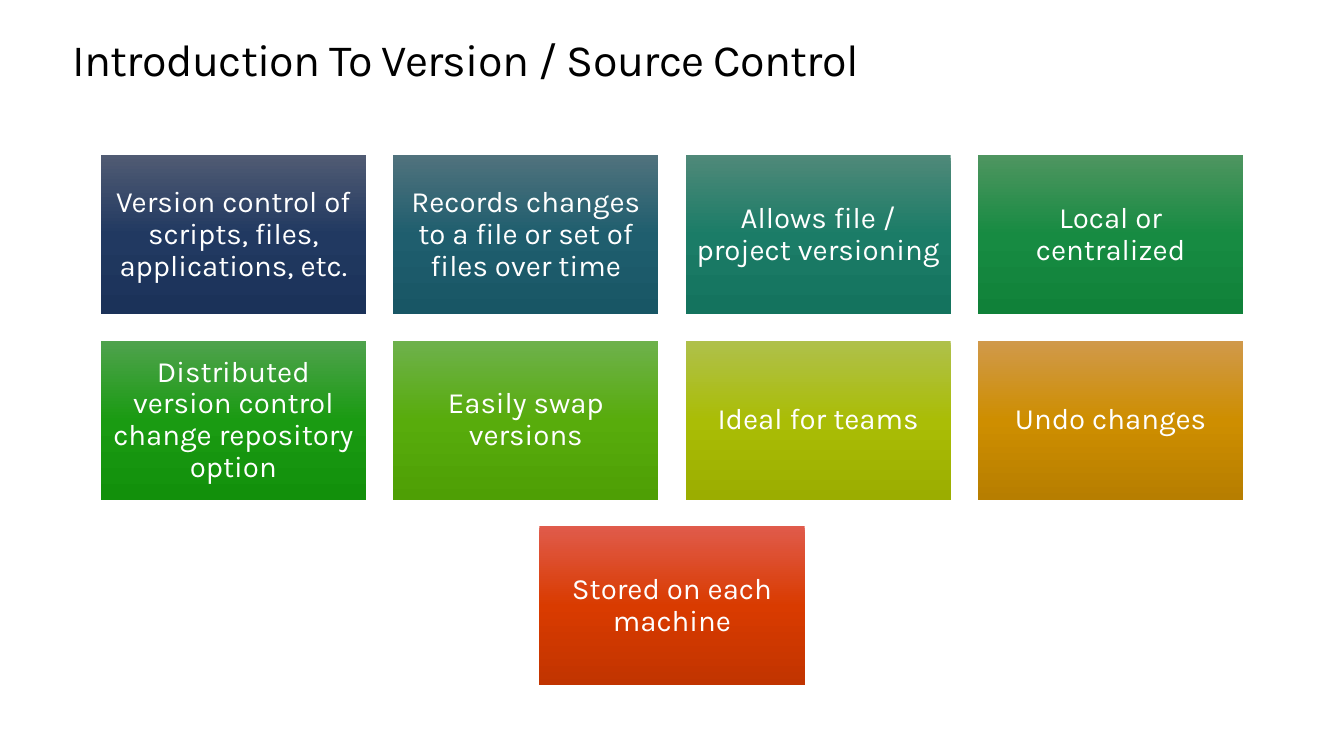
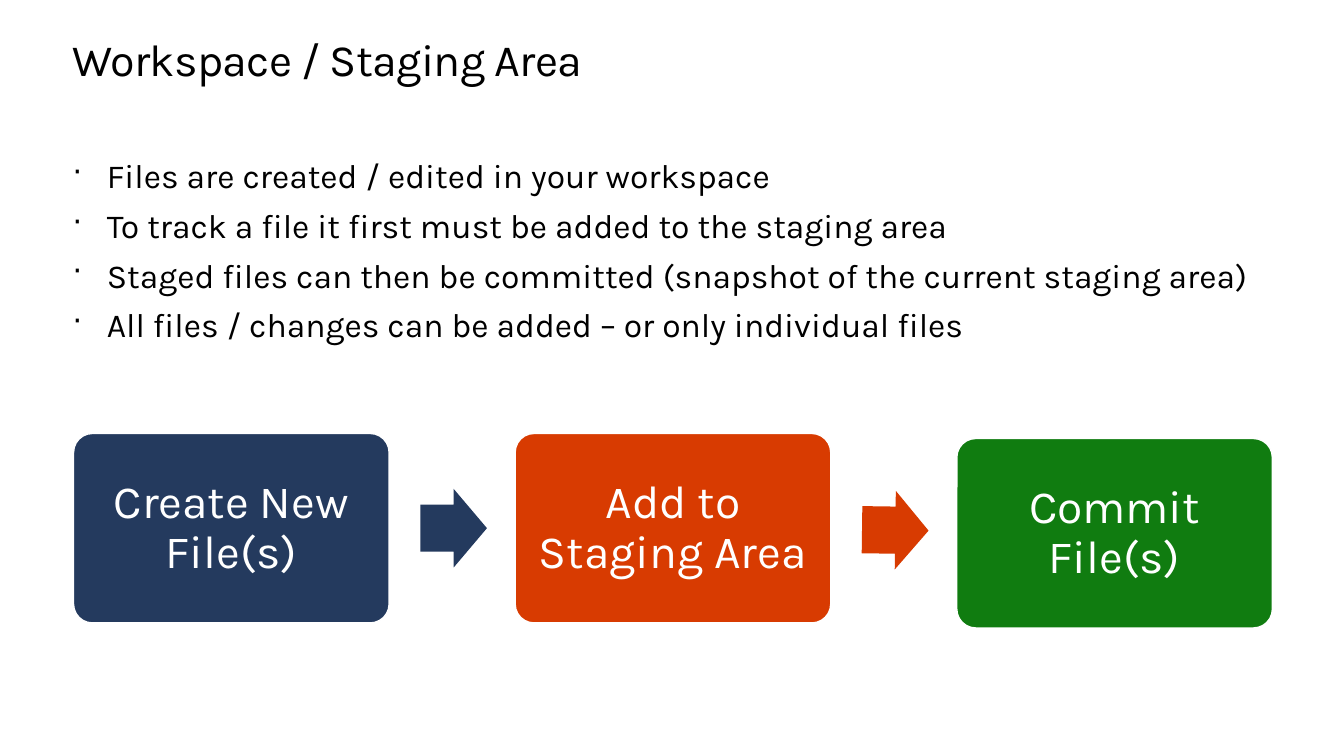
from copy import deepcopy

from lxml.etree import SubElement
from pptx import Presentation
from pptx.dml.color import RGBColor
from pptx.enum.shapes import MSO_SHAPE
from pptx.enum.text import MSO_ANCHOR, PP_ALIGN
from pptx.oxml.ns import qn
from pptx.util import Pt

PX = 9144
FONT = "Karla"
WHITE = RGBColor(0xFF, 0xFF, 0xFF)
BLACK = RGBColor(0x00, 0x00, 0x00)
NAVY = RGBColor(0x24, 0x3A, 0x5E)
ORANGE = RGBColor(0xD8, 0x3B, 0x01)
GREEN = RGBColor(0x10, 0x7C, 0x10)

TITLE_BOX = (72, 35, 1190, 50)
TILE_BOX = (100, 154, 1133, 526)
BULLET_BOX = (72, 154, 1190, 250)
FLOW_BOX = (73, 430, 1189, 188)

TILES = [
    ("Version control of scripts, files, applications, etc.", "505B73 213961 1B3259"),
    ("Records changes to a file or set of files over time", "50727D 1F5E6E 185665"),
    ("Allows file / project versioning", "4F8979 1B7C67 14735E"),
    ("Local or centralized", "4E9560 178B42 108139"),
    ("Distributed version control change repository option", "4FA24D 1A9B12 12900B"),
    ("Easily swap versions", "6EB14C 58AC0C 4E9F05"),
    ("Ideal for teams", "AFC04B AABD06 9BAD00"),
    ("Undo changes", "D0994B CE8E00 B77E00"),
    ("Stored on each machine", "E05B4B D93B00 C13400"),
]
BULLETS = [
    "Files are created / edited in your workspace",
    "To track a file it first must be added to the staging area",
    "Staged files can then be committed (snapshot of the current staging area)",
    "All files / changes can be added – or only individual files",
]
STEPS = [
    ("Create New File(s)", NAVY, 0),
    ("Add to Staging Area", ORANGE, 0),
    ("Commit File(s)", GREEN, 5),
]


def emu(box):
    """Turn a box of px lengths into EMU."""
    return [round(length * PX) for length in box]


def set_frame(frame, inset, anchor):
    """Wrap the text and set equal insets and the vertical anchor."""
    frame.word_wrap = True
    frame.vertical_anchor = anchor
    frame.margin_left = frame.margin_right = inset * PX
    frame.margin_top = frame.margin_bottom = inset * PX


def style_font(para, size, color):
    """Set the shared font on a paragraph."""
    para.font.name = FONT
    para.font.size = Pt(size)
    para.font.color.rgb = color


def add_block(page, preset, box):
    """Add a preset shape without shadow or line."""
    block = page.shapes.add_shape(preset, *emu(box))
    block.shadow.inherit = False
    block.line.fill.background()
    return block


def add_label(block, text, size, inset):
    """Centre a white label inside a block."""
    set_frame(block.text_frame, inset, MSO_ANCHOR.MIDDLE)
    para = block.text_frame.paragraphs[0]
    para.text = text
    para.alignment = PP_ALIGN.CENTER
    para.line_spacing = 0.9
    style_font(para, size, WHITE)


def fill_gradient(block, colors):
    """Fill a block from top to bottom with evenly spaced colours."""
    block.fill.gradient()
    block.fill.gradient_angle = 270
    stop_list = block.fill._xPr.find(qn("a:gradFill")).find(qn("a:gsLst"))
    while len(stop_list) < len(colors):
        stop_list.append(deepcopy(stop_list[-1]))
    for index, (stop, color) in enumerate(zip(block.fill.gradient_stops, colors)):
        stop.position = index / (len(colors) - 1)
        stop.color.rgb = color


def add_title(page, text, box):
    """Add the slide title."""
    title = page.shapes.add_textbox(*emu(box))
    title.fill.solid()
    title.fill.fore_color.rgb = WHITE
    set_frame(title.text_frame, 0, MSO_ANCHOR.TOP)
    para = title.text_frame.paragraphs[0]
    para.text = text
    para.line_spacing = Pt(36.2)
    style_font(para, 32, BLACK)
    para._p.pPr.find(qn("a:defRPr")).set("spc", "-50")


def add_tiles(page, tiles, box):
    """Lay out gradient tiles in rows of four, each row centred."""
    left, top, width, height = box
    columns, tile_width, tile_height = 4, 263, 158
    rows = -(-len(tiles) // columns)
    column_gap = (width - columns * tile_width) // (columns - 1)
    row_gap = (height - rows * tile_height) // (rows - 1)
    for row in range(rows):
        members = tiles[row * columns:(row + 1) * columns]
        row_width = len(members) * (tile_width + column_gap) - column_gap
        row_left = left + (width - row_width) // 2
        for column, (text, colors) in enumerate(members):
            tile_left = row_left + column * (tile_width + column_gap)
            tile_top = top + row * (tile_height + row_gap)
            tile = add_block(page, MSO_SHAPE.RECTANGLE,
                             (tile_left, tile_top, tile_width, tile_height))
            fill_gradient(tile, [RGBColor.from_string(color) for color in colors.split()])
            add_label(tile, text, 21, 9)


def add_bullets(page, lines, box):
    """Add a bulleted list with hanging indents."""
    frame = page.shapes.add_textbox(*emu(box)).text_frame
    set_frame(frame, 0, MSO_ANCHOR.TOP)
    for index, line in enumerate(lines):
        para = frame.add_paragraph() if index else frame.paragraphs[0]
        para.text = line
        para.space_before = Pt(6.7)
        properties = para._p.get_or_add_pPr()
        properties.set("marL", str(34 * PX))
        properties.set("indent", str(-34 * PX))
        bullet_color = SubElement(properties, qn("a:buClr"))
        SubElement(bullet_color, qn("a:srgbClr"), val=str(BLACK))
        SubElement(properties, qn("a:buSzPct"), val="90000")
        SubElement(properties, qn("a:buChar"), char="·")
        style_font(para, 24, BLACK)


def add_flow(page, steps, box):
    """Lay out rounded steps with block arrows between them."""
    left, top, width, height = box
    step_width, arrow_width, arrow_height = 313, 66, 78
    gap = (width - len(steps) * step_width) // (len(steps) - 1)
    for index, (text, color, drop) in enumerate(steps):
        step_left = left + index * (step_width + gap)
        step = add_block(page, MSO_SHAPE.ROUNDED_RECTANGLE,
                         (step_left, top + drop, step_width, height))
        step.adjustments[0] = 0.1
        step.fill.solid()
        step.fill.fore_color.rgb = color
        step.line.color.rgb = WHITE
        step.line.width = Pt(1)
        add_label(step, text, 33, 14)
        if index + 1 == len(steps):
            continue
        next_drop = steps[index + 1][2]
        arrow_top = top + (height - arrow_height + drop + next_drop) // 2
        arrow = add_block(page, MSO_SHAPE.RIGHT_ARROW,
                          (step_left + step_width + 31, arrow_top, arrow_width, arrow_height))
        arrow.adjustments[0] = 0.6
        arrow.adjustments[1] = 0.5
        arrow.rotation = 0.8 if next_drop > drop else 0
        arrow.fill.solid()
        arrow.fill.fore_color.rgb = color


def add_page(deck, title):
    """Add a blank slide with the shared title."""
    page = deck.slides.add_slide(deck.slide_layouts[6])
    add_title(page, title, TITLE_BOX)
    return page


def main():
    """Build and save the deck."""
    deck = Presentation()
    deck.slide_width, deck.slide_height = emu((1333, 750))
    introduction = add_page(deck, "Introduction To Version / Source Control")
    add_tiles(introduction, TILES, TILE_BOX)
    workspace = add_page(deck, "Workspace / Staging Area")
    add_bullets(workspace, BULLETS, BULLET_BOX)
    add_flow(workspace, STEPS, FLOW_BOX)
    deck.save("out.pptx")


if __name__ == "__main__":
    main()
